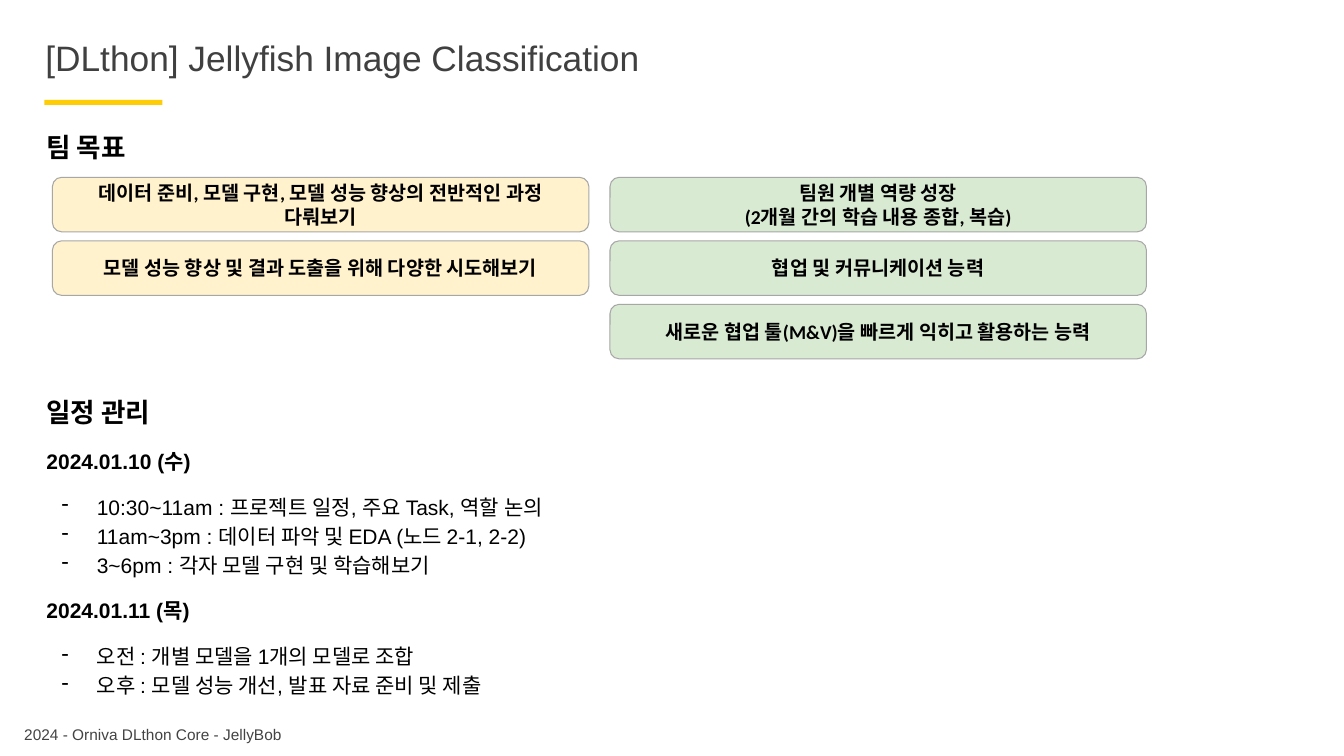
from dataclasses import dataclass

from lxml.etree import SubElement
from pptx import Presentation
from pptx.dml.color import RGBColor
from pptx.enum.shapes import MSO_SHAPE as Shape
from pptx.enum.text import MSO_ANCHOR as Anchor, MSO_AUTO_SIZE as AutoSize, PP_ALIGN as Align
from pptx.oxml.ns import qn
from pptx.util import Inches, Pt

BLACK, YELLOW, GREEN = "000000", "FFF2CC", "D9EAD3"
CARD_TOP, CARD_WIDTH, CARD_HEIGHT, CARD_PITCH = 1.76, 5.32, 0.54, 0.63


@dataclass
class GoalColumn:
    left: float
    fill: str
    goals: list[list[str]]


@dataclass
class Day:
    date: str
    tasks: list[str]


COLUMNS = [
    GoalColumn(0.52, YELLOW, [
        ["데이터 준비, 모델 구현, 모델 성능 향상의 전반적인 과정 다뤄보기"],
        ["모델 성능 향상 및 결과 도출을 위해 다양한 시도해보기"],
    ]),
    GoalColumn(6.05, GREEN, [
        ["팀원 개별 역량 성장", "(2개월 간의 학습 내용 종합, 복습)"],
        ["협업 및 커뮤니케이션 능력"],
        ["새로운 협업 툴(M&V)을 빠르게 익히고 활용하는 능력"],
    ]),
]
DAYS = [
    Day("2024.01.10 (수)", [
        "10:30~11am : 프로젝트 일정, 주요 Task, 역할 논의",
        "11am~3pm : 데이터 파악 및 EDA (노드 2-1, 2-2)",
        "3~6pm : 각자 모델 구현 및 학습해보기",
    ]),
    Day("2024.01.11 (목)", [
        "오전 : 개별 모델을 1개의 모델로 조합",
        "오후 : 모델 성능 개선, 발표 자료 준비 및 제출",
    ]),
]


def color(value: str) -> RGBColor:
    return RGBColor.from_string(value)


def add_dash(para) -> None:
    """Give the paragraph a hanging dash bullet."""
    props = para._p.get_or_add_pPr()
    props.set("marL", str(Inches(0.5)))
    props.set("indent", str(Inches(-0.35)))
    tint = SubElement(props, qn("a:buClr"))
    SubElement(tint, qn("a:srgbClr"), val=BLACK)
    SubElement(props, qn("a:buChar"), char="-")


def add_text(frame, text: str, *, size: float, font: str = "Arial", ink: str = BLACK,
             bold: bool = False, align=Align.LEFT, spacing: float = 1.0,
             before: float = 0, dash: bool = False) -> None:
    """Fill the first empty paragraph, or append a new one."""
    para = frame.paragraphs[0] if not frame.text else frame.add_paragraph()
    if dash:
        add_dash(para)
    para.alignment, para.line_spacing = align, spacing
    para.space_before = Pt(before)
    span = para.add_run()
    span.text = text
    span.font.name, span.font.size, span.font.bold = font, Pt(size), bold
    span.font.color.rgb = color(ink)


def set_frame(frame, inset: float, anchor=Anchor.TOP, fit=AutoSize.NONE) -> None:
    frame.word_wrap = True
    frame.auto_size = fit
    frame.vertical_anchor = anchor
    frame.margin_left = frame.margin_right = Inches(inset)
    frame.margin_top = frame.margin_bottom = Inches(inset)


def add_box(page, left: float, top: float, width: float, height: float, inset: float):
    box = page.shapes.add_textbox(Inches(left), Inches(top), Inches(width), Inches(height))
    set_frame(box.text_frame, inset, fit=AutoSize.SHAPE_TO_FIT_TEXT)
    return box.text_frame


def add_block(page, kind, left: float, top: float, width: float, height: float,
              fill: str, line: str = ""):
    block = page.shapes.add_shape(kind, Inches(left), Inches(top), Inches(width), Inches(height))
    block.shadow.inherit = False
    block.fill.solid()
    block.fill.fore_color.rgb = color(fill)
    if line:
        block.line.color.rgb = color(line)
        block.line.width = Pt(0.75)
    else:
        block.line.fill.background()
    return block


def add_title(page) -> None:
    title = page.shapes.title
    title.left, title.top = Inches(0.4), Inches(0.33)
    title.width, title.height = Inches(11.56), Inches(0.78)
    set_frame(title.text_frame, 0.05)
    title.text_frame.margin_top = Inches(0.08)
    add_text(title.text_frame, "[DLthon] Jellyfish Image Classification",
             size=25.2, ink="404040", spacing=0.9)


def add_goals(page) -> None:
    heading = add_box(page, 0.42, 1.21, 9.99, 0.4, 0.04)
    add_text(heading, "팀 목표", size=19, bold=True, spacing=1.15)
    for column in COLUMNS:
        for row, lines in enumerate(column.goals):
            card = add_block(page, Shape.ROUNDED_RECTANGLE, column.left,
                             CARD_TOP + row * CARD_PITCH, CARD_WIDTH, CARD_HEIGHT,
                             column.fill, "A7A7A7")
            set_frame(card.text_frame, 0.1, Anchor.MIDDLE)
            for line in lines:
                add_text(card.text_frame, line, size=14, font="Calibri", bold=True,
                         align=Align.CENTER)


def add_schedule(page) -> None:
    frame = add_box(page, 0.42, 3.84, 9.99, 3.11, 0.04)
    add_text(frame, "일정 관리", size=19, bold=True, spacing=1.15)
    for day in DAYS:
        add_text(frame, day.date, size=15, bold=True, spacing=1.15, before=12)
        for index, task in enumerate(day.tasks):
            add_text(frame, task, size=15, spacing=1.15, before=0 if index else 12, dash=True)


def main() -> None:
    deck = Presentation()
    deck.slide_width, deck.slide_height = Inches(13.33), Inches(7.5)
    page = deck.slides.add_slide(deck.slide_layouts[5])

    # Title and accent bar
    add_title(page)
    add_block(page, Shape.RECTANGLE, 0.44, 0.99, 1.17, 0.05, "FFCD05")

    # Goals and schedule
    add_goals(page)
    add_schedule(page)

    # Footer
    footer = add_box(page, 0.19, 7.05, 3.69, 0.29, 0.05)
    add_text(footer, "2024 - Orniva DLthon Core - JellyBob", size=11, ink="434343", spacing=1.5)

    deck.save("out.pptx")


if __name__ == "__main__":
    main()
